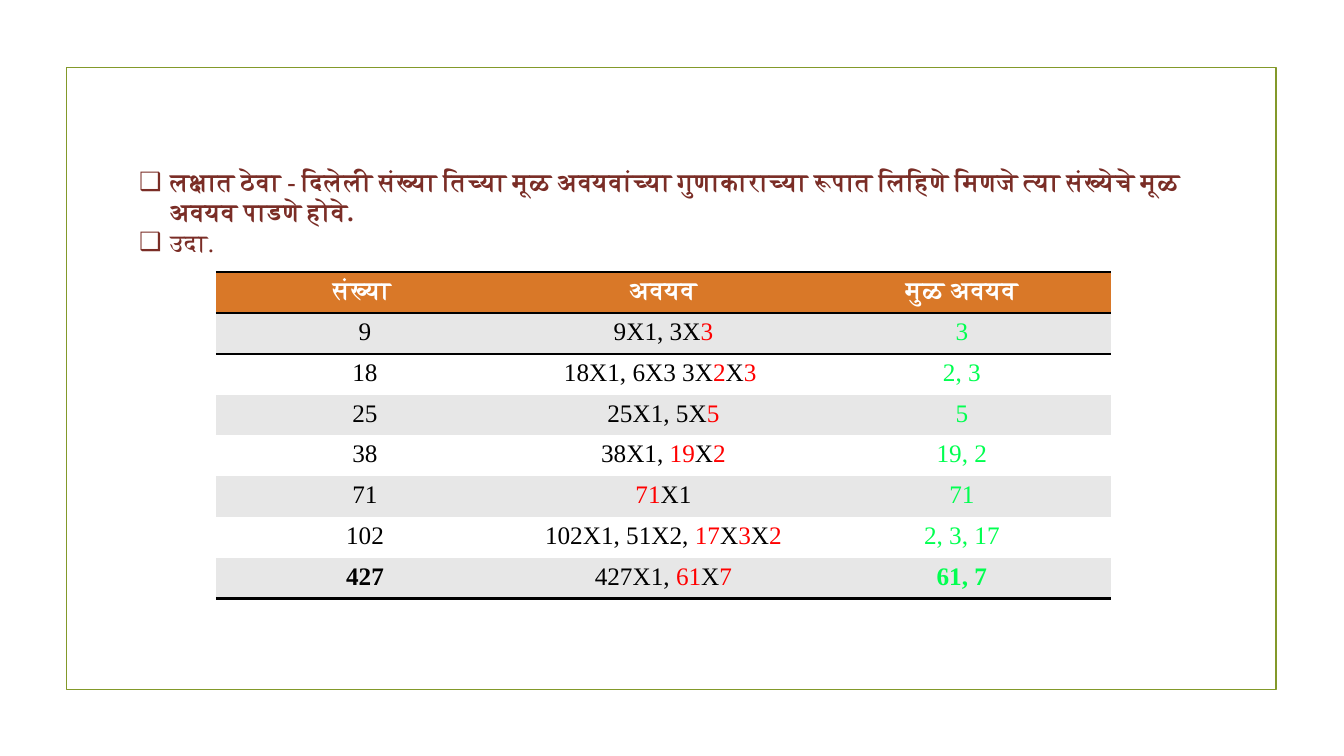
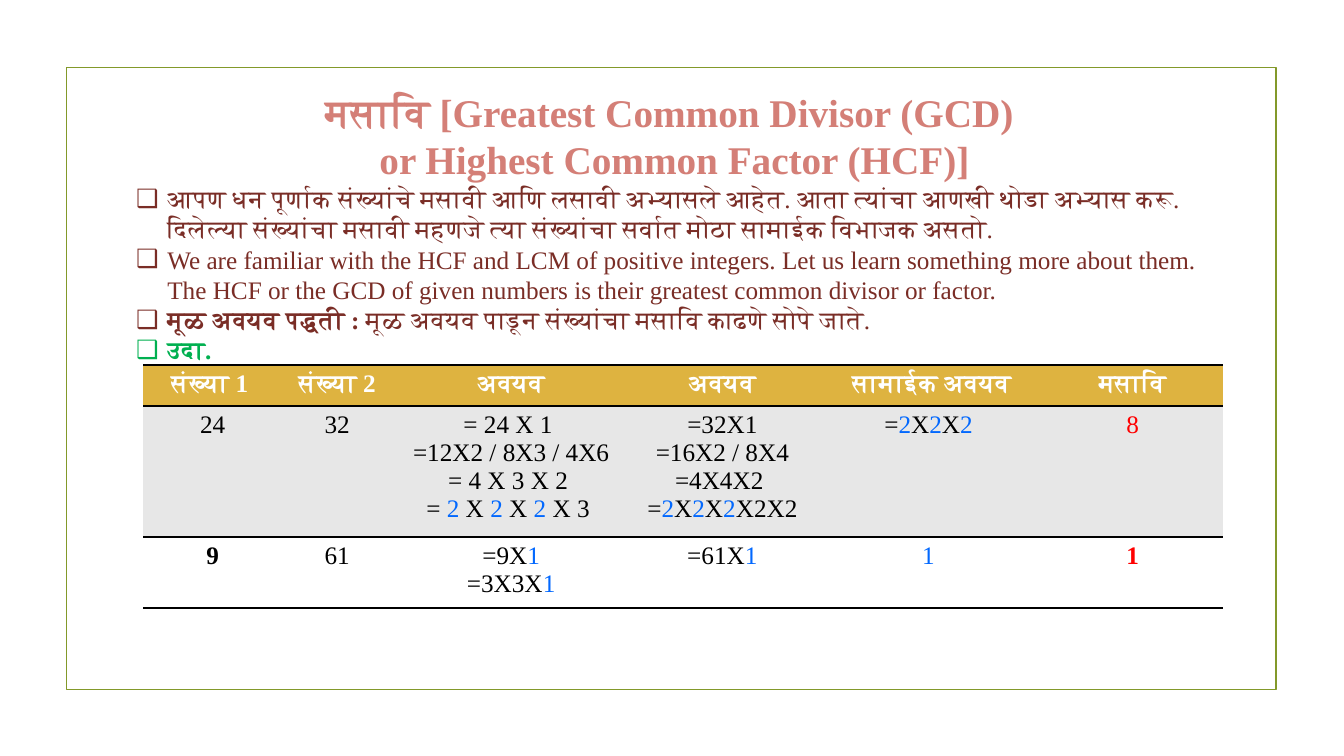
"""Two slides on prime factors and the greatest common divisor."""
from lxml import etree
from pptx import Presentation
from pptx.dml.color import RGBColor
from pptx.enum import shapes, text
from pptx.oxml.ns import qn
from pptx.util import Inches, Pt

FONT = "Times New Roman"
BROWN, ROSE, OLIVE = "7A2D26", "D47F77", "83992A"
ORANGE, GOLD, GREY = "D97828", "DEB340", "E7E7E7"
BLACK, WHITE, RED = "000000", "FFFFFF", "FF0000"
GREEN, LIME, BLUE = "00B050", "01FF50", "0268FE"
NO_GRID = "{2D5ABB26-0587-4C30-8999-92F81FD0307C}"
INDENT = Inches(0.31)


def rgb(value):
    """Turn a hex string into a colour."""
    return RGBColor.from_string(value)


def add_run(p, words, color, bold=False, size=18):
    """Add one run, with the font set for Latin and Devanagari alike."""
    r = p.add_run()
    r.text = words
    f = r.font
    f.name, f.size, f.bold = FONT, Pt(size), bold
    f.color.rgb = rgb(color)
    etree.SubElement(f._element, qn("a:cs"), typeface=FONT)


def add_paragraph(tf, first):
    """Return the first paragraph of a frame, or a new one."""
    p = tf.paragraphs[0] if first else tf.add_paragraph()
    p.space_before = Pt(0)
    return p


def place(sp, left, top, width, height):
    """Move a placeholder and return its top-anchored text frame."""
    sp.left, sp.top = Inches(left), Inches(top)
    sp.width, sp.height = Inches(width), Inches(height)
    tf = sp.text_frame
    tf.word_wrap = True
    tf.auto_size = text.MSO_AUTO_SIZE.NONE
    tf.vertical_anchor = text.MSO_ANCHOR.TOP
    return tf


def set_title(s, box, lines):
    """Write the centred title, one paragraph a line."""
    tf = place(s.shapes.title, *box)
    for i, line in enumerate(lines):
        p = add_paragraph(tf, i == 0)
        p.alignment = text.PP_ALIGN.CENTER
        add_run(p, line, ROSE, True, 28)


def set_list(s, box, items):
    """Write the list; an item is a list of (words, bold, colour)."""
    tf = place(s.placeholders[1], *box)
    for i, item in enumerate(items):
        p = add_paragraph(tf, i == 0)
        pPr = p._p.get_or_add_pPr()
        pPr.set("marL", str(INDENT))
        pPr.set("indent", str(-INDENT))
        etree.SubElement(pPr, qn("a:buChar"), char="❑")
        for words, bold, color in item:
            add_run(p, words, color, bold)


def add_border(cell, side):
    """Draw a black 2 pt edge: lnT for the top, lnB for the bottom."""
    ln = etree.Element(qn("a:" + side), w=str(Pt(2)))
    fill = etree.SubElement(ln, qn("a:solidFill"))
    etree.SubElement(fill, qn("a:srgbClr"), val=BLACK)
    tcPr = cell._tc.get_or_add_tcPr()
    tcPr.insert(len(tcPr.findall(qn("a:lnT"))), ln)


def fill_cell(cell, markup, fill, color, accent, bold):
    """Write centred lines; words between bars take the accent colour."""
    cell.fill.solid()
    cell.fill.fore_color.rgb = rgb(fill)
    for i, line in enumerate(markup.split("\n")):
        p = add_paragraph(cell.text_frame, i == 0)
        p.alignment = text.PP_ALIGN.CENTER
        for n, words in enumerate(line.split("|")):
            if words:
                add_run(p, words, accent if n % 2 else color, bold)


def add_factor_table(s, box, widths, heights, header, accents, rows):
    """Add a banded table; a cell that starts with * is bold."""
    table = s.shapes.add_table(len(rows), len(widths),
                               *map(Inches, box)).table
    table._tbl.tblPr.find(qn("a:tableStyleId")).text = NO_GRID
    for col, width in zip(table.columns, widths):
        col.width = Inches(width)
    for row, height in zip(table.rows, heights):
        row.height = Inches(height)
    for i, row in enumerate(rows):
        head = i == 0
        fill = header if head else GREY if i % 2 else WHITE
        for j, markup in enumerate(row):
            cell = table.cell(i, j)
            fill_cell(cell, markup.lstrip("*"), fill,
                      WHITE if head else BLACK, accents[j],
                      head or markup.startswith("*"))
            if head:
                add_border(cell, "lnT")
            if head or i == len(rows) - 1:
                add_border(cell, "lnB")
            elif i == 1:
                add_border(cell, "lnT")


def add_master_frame(prs, s):
    """Draw the thin frame and move it to the slide master."""
    sp = s.shapes.add_shape(shapes.MSO_SHAPE.RECTANGLE, Inches(0.66),
                            Inches(0.67), Inches(12), Inches(6.17))
    sp.shadow.inherit = False
    sp.fill.background()
    sp.line.color.rgb = rgb(OLIVE)
    sp.line.width = Pt(1.25)
    prs.slide_master.shapes.element.insert(2, sp.element)


def build_prime_factors(s):
    """Slide 1: numbers and their prime factors."""
    title = s.shapes.title.element
    title.getparent().remove(title)
    set_list(s, (1.28, 1.6, 10.63, 1.31), [
        [("लक्षात ठेवा - दिलेली संख्या तिच्या मूळ अवयवांच्या गुणाकाराच्या "
          "रूपात लिहिणे मिणजे त्या संख्येचे मूळ अवयव पाडणे होवे.", True, BROWN)],
        [("उदा. ", False, BROWN)],
    ])
    add_factor_table(
        s, (2.14, 2.7, 8.89, 3.24), [2.96] * 3, [], ORANGE,
        [RED, RED, LIME], [
            ["संख्या ", "अवयव", "मुळ अवयव"],
            ["9", "9X1, 3X|3|", "|3|"],
            ["18", "18X1, 6X3 3X|2|X|3 |", "|2, 3|"],
            ["25", "25X1, 5X|5|", "|5|"],
            ["38", "38X1, |19|X|2|", "|19, 2|"],
            ["71", "|71|X1", "|71|"],
            ["102", "102X1, 51X2, |17|X|3|X|2|", "|2, 3, 17|"],
            ["*427", "427X1, |61|X|7|", "*|61, 7|"],
        ])


def build_common_divisor(s):
    """Slide 2: the greatest common divisor by prime factors."""
    set_title(s, (1.25, 0.83, 10.88, 0.99), [
        "मसावि [Greatest Common Divisor (GCD) ",
        "or Highest Common Factor (HCF)]"])
    set_list(s, (1.25, 1.77, 10.88, 1.85), [
        [("आपण धन पूर्णाक संख्यांचे मसावी आणि लसावी अभ्यासले आहेत. आता "
          "त्यांचा आणखी थोडा अभ्यास करू. दिलेल्या संख्यांचा मसावी महणजे "
          "त्या संख्यांचा सर्वात मोठा सामाईक विभाजक असतो.", False, BROWN)],
        [("We are familiar with the HCF and LCM of positive integers. "
          "Let us learn something more about them. The HCF or the GCD of "
          "given numbers is their greatest common divisor or factor.",
          False, BROWN)],
        [("मूळ अवयव पद्धती : ", True, BROWN),
         ("मूळ अवयव पाडून संख्यांचा मसावि काढणे सोपे जाते.", False, BROWN)],
        [("उदा. ", True, GREEN)],
    ])
    add_factor_table(
        s, (1.42, 3.62, 10.71, 2.41), [1.38, 1.09, 2.36, 1.83, 2.26, 1.79],
        [0.41, 1.3, 0.7], GOLD, [BLUE] * 5 + [RED], [
            ["संख्या 1 ", "संख्या 2", "अवयव", "अवयव", " सामाईक अवयव", "मसावि"],
            ["24", "32",
             "= 24 X 1 \n=12X2 / 8X3 / 4X6\n= 4 X 3 X 2 \n"
             "= |2| X |2| X |2| X 3 ",
             "=32X1\n=16X2 / 8X4 =4X4X2 \n=|2|X|2|X|2|X2X2",
             "=|2|X|2|X|2|", "|8|"],
            ["*9", "61", "=9X|1|\n=3X3X|1|", "=61X|1|", "|1|", "*|1|"],
        ])


def main():
    """Build and save the presentation."""
    prs = Presentation()
    prs.slide_width, prs.slide_height = Inches(13.33), Inches(7.5)
    for build in (build_prime_factors, build_common_divisor):
        s = prs.slides.add_slide(prs.slide_layouts[1])
        build(s)
    add_master_frame(prs, s)
    prs.save("out.pptx")


main()
